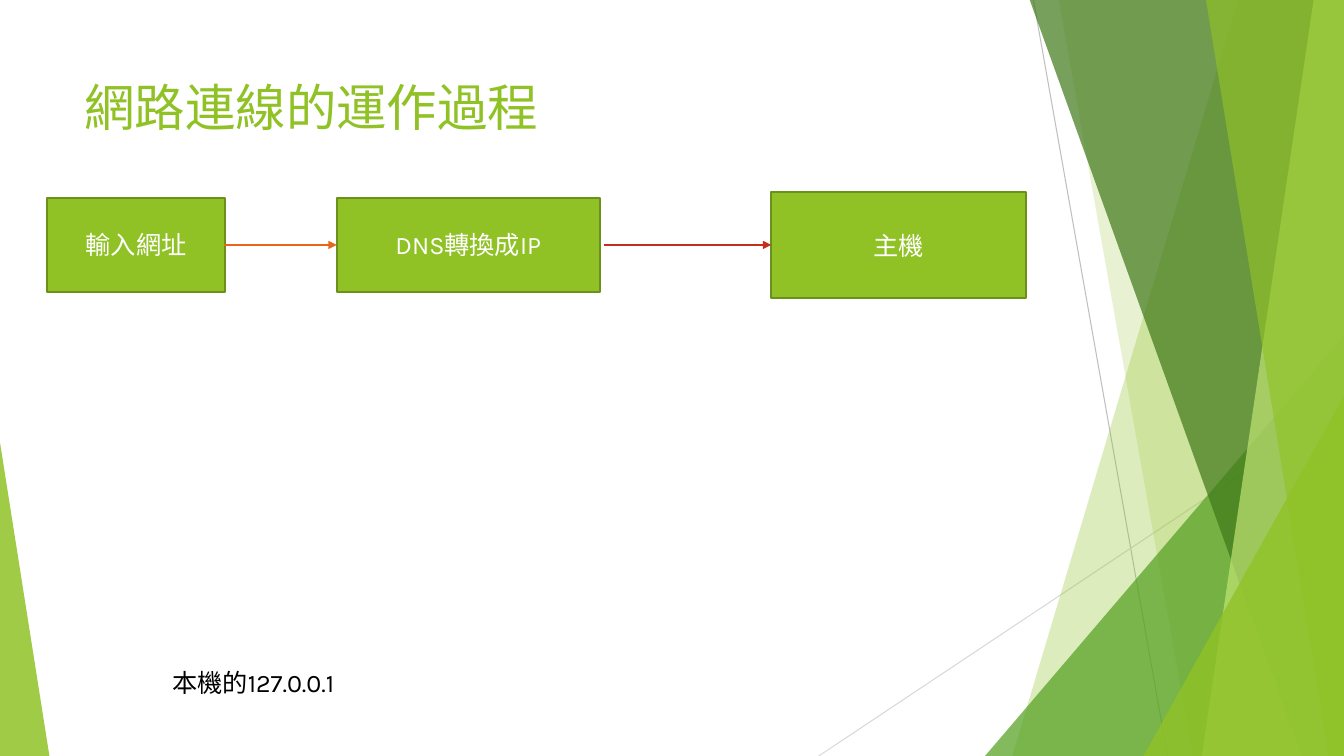
from lxml.etree import SubElement
from pptx import Presentation
from pptx.dml.color import RGBColor
from pptx.enum.shapes import MSO_CONNECTOR as Connector, MSO_SHAPE as Preset
from pptx.enum.text import MSO_ANCHOR as Anchor, PP_ALIGN as Align
from pptx.oxml.ns import qn
from pptx.util import Inches, Pt

WIDTH, HEIGHT = 13.33, 7.5
TOP = -0.01
FONT = "Karla"
COLORS = {
    "lime": "90C226", "olive": "6B901C", "green": "54A021", "forest": "3F7819",
    "pale": "C0E474", "orange": "E76618", "red": "C42F1A", "gray": "BFBFBF",
    "silver": "D9D9D9", "white": "FFFFFF", "black": "000000",
}

TITLE = "網路連線的運作過程"
NOTE = "本機的127.0.0.1"
FLOW_MIDDLE = 2.43
# text, left, width, height
STEPS = [
    ("輸入網址", 0.47, 1.76, 0.93),
    ("DNS轉換成IP", 3.34, 2.61, 0.93),
    ("主機", 7.65, 2.53, 1.05),
]
# start, end, color
ARROWS = [(2.22, 3.34, "orange"), (5.99, 7.65, "red")]

# start, end, color
HAIRLINES = [
    ((10.25, 0), (11.58, HEIGHT), "gray"),
    ((WIDTH, 4.03), (8.12, HEIGHT), "silver"),
]
# Bands reach the right edge: ("band", top x, bottom x, color, opacity)
# Triangles stand on the bottom edge: ("triangle", left, width, height, apex, color, opacity)
FACETS = [
    ("band", 12.28, 10.04, "lime", 30),
    ("band", 10.5, 11.83, "lime", 20),
    ("triangle", 9.77, 3.56, 4.17, 1, "green", 72),
    ("band", 10.21, 12.91, "forest", 70),
    ("band", 13.03, 11.92, "pale", 70),
    ("band", 11.96, 13.18, "lime", 65),
    ("triangle", 11.34, 1.99, 3.57, 1, "lime", 80),
    ("triangle", 0, 0.49, 3.11, 0, "lime", 85),
]


def rgb(name):
    """Return the named color."""
    return RGBColor.from_string(COLORS[name])


def paint(shape, color, opacity=100, outline=None):
    """Fill a shape and give it an outline, or none."""
    shape.shadow.inherit = False
    shape.fill.solid()
    shape.fill.fore_color.rgb = rgb(color)
    if opacity < 100:
        tint = shape.fill._xPr.find(".//" + qn("a:srgbClr"))
        SubElement(tint, qn("a:alpha"), val=str(opacity * 1000))
    if outline:
        shape.line.color.rgb = rgb(outline)
        shape.line.width = Pt(1.5)
    else:
        shape.line.fill.background()


def write(shape, text, size=18, color="black", align=Align.LEFT, anchor=Anchor.TOP, wrap=True):
    """Put formatted text into a shape."""
    frame = shape.text_frame
    frame.word_wrap = wrap
    frame.vertical_anchor = anchor
    paragraph = frame.paragraphs[0]
    paragraph.alignment = align
    run = paragraph.add_run()
    run.text = text
    run.font.name = FONT
    run.font.size = Pt(size)
    run.font.color.rgb = rgb(color)


def add_line(slide, start, end, color, width, arrow=False):
    """Draw a straight line, with an arrowhead at its end if wanted."""
    line = slide.shapes.add_connector(
        Connector.STRAIGHT, *(Inches(value) for value in (*start, *end)))
    line.line.color.rgb = rgb(color)
    line.line.width = Pt(width)
    if arrow:
        SubElement(line.line._get_or_add_ln(), qn("a:tailEnd"), type="triangle")
    SubElement(line._element.spPr, qn("a:effectLst"))


def add_band(slide, top_x, bottom_x, color, opacity):
    """Draw a full-height facet between a slanted edge and the right edge."""
    corners = [(WIDTH, TOP), (WIDTH, HEIGHT), (bottom_x, HEIGHT)]
    builder = slide.shapes.build_freeform(Inches(top_x), Inches(TOP))
    builder.add_line_segments([(Inches(x), Inches(y)) for x, y in corners], close=True)
    paint(builder.convert_to_shape(), color, opacity)


def add_triangle(slide, left, width, height, apex, color, opacity):
    """Draw a triangular facet on the bottom edge."""
    shape = slide.shapes.add_shape(
        Preset.ISOSCELES_TRIANGLE, Inches(left), Inches(HEIGHT - height),
        Inches(width), Inches(height))
    shape.adjustments[0] = apex
    paint(shape, color, opacity)


def add_text(slide, text, left, top, width, height, **format):
    """Add a text box."""
    box = slide.shapes.add_textbox(*(Inches(value) for value in (left, top, width, height)))
    write(box, text, **format)


def add_step(slide, text, left, width, height):
    """Add a flow box centred on the flow line."""
    box = slide.shapes.add_shape(
        Preset.RECTANGLE, Inches(left), Inches(FLOW_MIDDLE - height / 2),
        Inches(width), Inches(height))
    paint(box, "lime", outline="olive")
    write(box, text, color="white", align=Align.CENTER, anchor=Anchor.MIDDLE)


presentation = Presentation()
presentation.slide_width, presentation.slide_height = Inches(WIDTH), Inches(HEIGHT)
slide = presentation.slides.add_slide(presentation.slide_layouts[6])

for start, end, color in HAIRLINES:
    add_line(slide, start, end, color, 0.75)
draw = {"band": add_band, "triangle": add_triangle}
for kind, *facet in FACETS:
    draw[kind](slide, *facet)

add_text(slide, TITLE, 0.74, 0.71, 9.4, 1.44, size=36, color="lime")
for step in STEPS:
    add_step(slide, *step)
for start, end, color in ARROWS:
    add_line(slide, (start, FLOW_MIDDLE), (end, FLOW_MIDDLE), color, 1, arrow=True)
add_text(slide, NOTE, 1.61, 6.57, 2.04, 0.4, wrap=False)

presentation.save("out.pptx")
